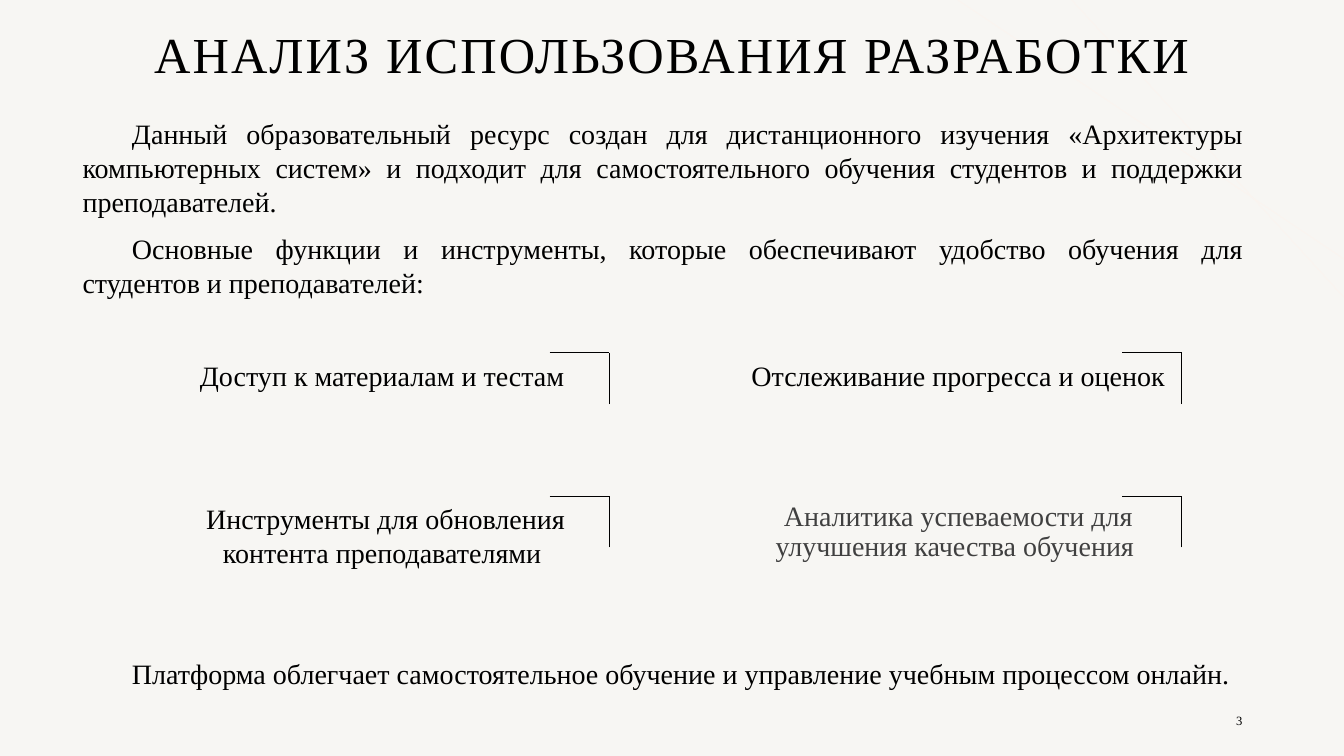
from dataclasses import dataclass

from lxml import etree
from pptx import Presentation
from pptx import util as u
from pptx.dml.color import RGBColor
from pptx.enum import shapes, text
from pptx.oxml.ns import qn


@dataclass(frozen=True)
class Theme:
    font: str = "Times New Roman"
    background: str = "F7F6F3"
    ink: str = "000000"
    muted: str = "404040"
    ray: str = "FBF4EF"
    title_size: int = 36
    body_size: int = 20
    number_size: int = 9
    tracking: int = 150
    line_width: float = 0.5


THEME = Theme()
WIDTH, HEIGHT = 13.33, 7.5
MARGIN = 0.72
INDENT = 0.49
COLUMNS = (1.62, 7.3)
ROWS = (3.51, 4.93)
CARD_WIDTH = 4.41
CORNER_WIDTH, CORNER_HEIGHT = 0.59, 0.51
ALIGN = text.PP_ALIGN

FEATURES = (
    ("Доступ к материалам и тестам ", 0, 0, 0.71, THEME.ink, 1),
    ("Отслеживание прогресса и оценок", 1, 0, 0.71, THEME.ink, 1),
    ("Инструменты для обновления контента преподавателями ", 0, 1, 1.16, THEME.ink, 1),
    ("Аналитика успеваемости для улучшения качества обучения ", 1, 1, 0.71, THEME.muted, 0.9),
)
INTRODUCTION = (
    "Данный образовательный ресурс создан для дистанционного изучения «Архитектуры компьютерных систем» "
    "и подходит для самостоятельного обучения студентов и поддержки преподавателей.\n"
    "Основные функции и инструменты, которые обеспечивают удобство обучения для студентов и преподавателей:"
)
CONCLUSION = "Платформа облегчает самостоятельное обучение и управление учебным процессом онлайн."


def add_text(slide, words, box, size=THEME.body_size, color=THEME.ink, align=ALIGN.LEFT,
             anchor=text.MSO_ANCHOR.TOP, indent=0, before=0, spacing=1, tracking=0):
    shape = slide.shapes.add_textbox(*(u.Inches(length) for length in box))
    frame = shape.text_frame
    frame.word_wrap = True
    frame.vertical_anchor = anchor
    frame.text = words
    for paragraph in frame.paragraphs:
        paragraph.alignment = align
        paragraph.space_before = u.Pt(before)
        paragraph.line_spacing = spacing
        if indent:
            paragraph._p.get_or_add_pPr().set("indent", str(u.Inches(indent)))
        for run in paragraph.runs:
            run.font.name = THEME.font
            run.font.size = u.Pt(size)
            run.font.color.rgb = RGBColor.from_string(color)
            if tracking:
                run.font._element.set("spc", str(tracking))


def add_line(parent, start, end, color=THEME.ink):
    points = (u.Inches(length) for length in (*start, *end))
    line = parent.shapes.add_connector(shapes.MSO_CONNECTOR.STRAIGHT, *points)
    line.line.color.rgb = RGBColor.from_string(color)
    line.line.width = u.Pt(THEME.line_width)
    etree.SubElement(line._element.spPr, qn("a:effectLst"))


def add_corner(slide, right, top):
    group = slide.shapes.add_group_shape()
    add_line(group, (right - CORNER_WIDTH, top), (right, top))
    add_line(group, (right, top + CORNER_HEIGHT), (right, top))


def add_feature(slide, words, column, row, height, color, spacing):
    left, top = COLUMNS[column], ROWS[row]
    add_text(slide, words, (left, top, CARD_WIDTH, height), color=color,
             align=ALIGN.CENTER, before=10, spacing=spacing)
    add_corner(slide, left + CARD_WIDTH + 0.01, top - 0.01)


def main():
    presentation = Presentation()
    presentation.slide_width = u.Inches(WIDTH)
    presentation.slide_height = u.Inches(HEIGHT)
    slide = presentation.slides.add_slide(presentation.slide_layouts[6])
    slide.background.fill.solid()
    slide.background.fill.fore_color.rgb = RGBColor.from_string(THEME.background)

    for start, end in ((9.5, 2.57), (10.63, 2.95)):
        add_line(slide, (start, 0), (WIDTH, end), THEME.ray)
    add_text(slide, "АНАЛИЗ ИСПОЛЬЗОВАНИЯ РАЗРАБОТКИ", (0, 0.16, WIDTH, 0.82),
             size=THEME.title_size, align=ALIGN.CENTER, anchor=text.MSO_ANCHOR.MIDDLE,
             spacing=0.9, tracking=THEME.tracking)
    add_text(slide, INTRODUCTION, (MARGIN, 1.11, 11.71, 2.17),
             align=ALIGN.JUSTIFY, indent=INDENT, before=10)
    for feature in FEATURES:
        add_feature(slide, *feature)
    add_text(slide, CONCLUSION, (MARGIN, 6.46, 12.25, 0.44), indent=INDENT)
    add_text(slide, "3", (12.12, 6.95, 0.3, 0.4), size=THEME.number_size,
             align=ALIGN.RIGHT, anchor=text.MSO_ANCHOR.MIDDLE)
    presentation.save("out.pptx")


if __name__ == "__main__":
    main()
